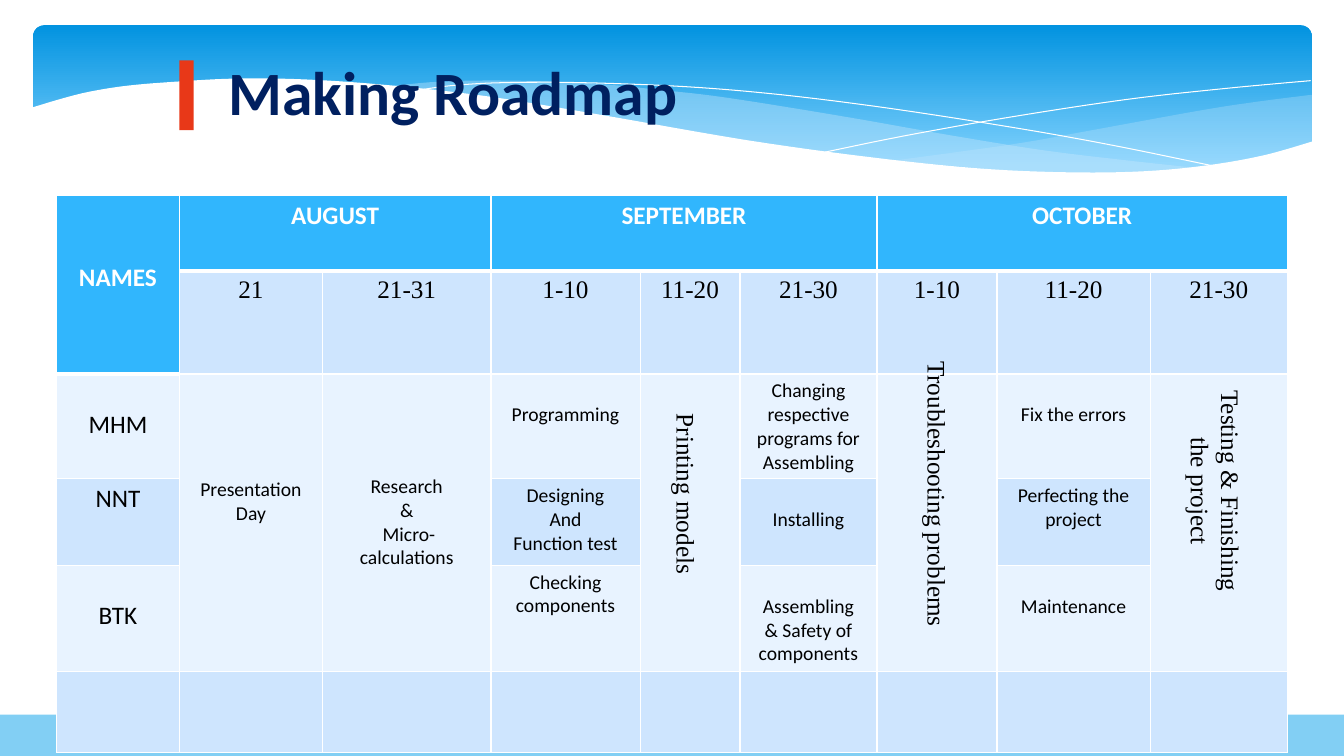
import dataclasses
import itertools

import lxml.etree
import pptx
import pptx.dml.color
import pptx.enum.shapes
import pptx.enum.text
import pptx.oxml.ns
import pptx.util

GRID_COLUMNS, GRID_ROWS = 1333, 750
SLIDE_WIDTH, SLIDE_HEIGHT = pptx.util.Inches(13.33), pptx.util.Inches(7.5)
SHAPES = pptx.enum.shapes.MSO_SHAPE
ANCHOR = pptx.enum.text.MSO_ANCHOR
ALIGN = pptx.enum.text.PP_ALIGN


@dataclasses.dataclass(frozen=True)
class Theme:
    sans: str = "Calibri"
    serif: str = "Times New Roman"
    title_size: int = 44
    head_size: int = 18
    task_size: int = 14
    white: str = "FFFFFF"
    black: str = "000000"
    navy: str = "002060"
    accent: str = "E83818"
    footer: str = "82CFF4"
    sky_top: str = "0293E0"
    sky_bottom: str = "83D3FE"
    ribbon: str = "C6E7FC"
    head: str = "31B6FD"
    band: str = "CEE5FE"
    light: str = "E8F3FF"


THEME = Theme()


def columns(count):
    return round(SLIDE_WIDTH * count / GRID_COLUMNS)


def rows(count):
    return round(SLIDE_HEIGHT * count / GRID_ROWS)


def color(code):
    return pptx.dml.color.RGBColor.from_string(code)


def smooth(knots, steps=6):
    """Return points on a Catmull-Rom curve through the knots."""
    padded = [knots[0], *knots, knots[-1]]
    points = [knots[0]]
    for a, b, c, d in zip(padded, padded[1:], padded[2:], padded[3:]):
        for step in range(1, steps + 1):
            t = step / steps
            points.append(tuple(
                (2 * q + (r - p) * t + (2 * p - 5 * q + 4 * r - s) * t ** 2
                 + (3 * q - p - 3 * r + s) * t ** 3) / 2
                for p, q, r, s in zip(a, b, c, d)))
    return points


class Page:
    def __init__(self, deck, theme):
        self.theme = theme
        self.shapes = deck.slides.add_slide(deck.slide_layouts[6]).shapes

    def block(self, kind, left, top, width, height, fill=None):
        shape = self.shapes.add_shape(
            kind, columns(left), rows(top), columns(width), rows(height))
        shape.shadow.inherit = False
        shape.line.fill.background()
        if fill:
            shape.fill.solid()
            shape.fill.fore_color.rgb = color(fill)
        return shape

    def sky(self, left, top, width, height):
        shape = self.block(SHAPES.ROUNDED_RECTANGLE, left, top, width, height)
        shape.adjustments[0] = 0.07
        shape.fill.gradient()
        shape.fill.gradient_angle = 270
        stops = zip(shape.fill.gradient_stops, (0, 0.9),
                    (self.theme.sky_top, self.theme.sky_bottom))
        for stop, position, code in stops:
            stop.position = position
            stop.color.rgb = color(code)

    def outline(self, points, fill=None, opacity=100):
        """Draw a filled outline, or an open white hairline without a fill."""
        spots = [(columns(x), rows(y)) for x, y in points]
        builder = self.shapes.build_freeform(*spots[0])
        builder.add_line_segments(spots[1:], close=bool(fill))
        shape = builder.convert_to_shape()
        shape.shadow.inherit = False
        if not fill:
            shape.fill.background()
            shape.line.color.rgb = color(self.theme.white)
            shape.line.width = 0
            return
        shape.line.fill.background()
        shape.fill.solid()
        shape.fill.fore_color.rgb = color(fill)
        if opacity < 100:
            tint = next(shape._element.spPr.iter(pptx.oxml.ns.qn("a:srgbClr")))
            lxml.etree.SubElement(tint, pptx.oxml.ns.qn("a:alpha"), val=str(opacity * 1000))

    def add_lines(self, frame, lines, size, font, code, bold=False, align=ALIGN.CENTER):
        for number, line in enumerate(lines):
            para = frame.add_paragraph() if number else frame.paragraphs[0]
            para.alignment = align
            span = para.add_run()
            span.text = line
            span.font.size = pptx.util.Pt(size)
            span.font.name = font
            span.font.bold = bold
            span.font.color.rgb = color(code)

    def text(self, left, top, width, height, wrap=True):
        box = self.shapes.add_textbox(
            columns(left), rows(top), columns(width), rows(height))
        box.text_frame.word_wrap = wrap
        box.text_frame.vertical_anchor = ANCHOR.MIDDLE
        return box

    def title(self, line, *place):
        box = self.text(*place)
        self.add_lines(box.text_frame, [line], self.theme.title_size, self.theme.sans,
                       self.theme.navy, True, ALIGN.LEFT)

    def upright(self, lines, center_x, center_y, length, depth):
        """Set lines that read downwards around a centre."""
        box = self.text(center_x - length / 2, center_y - depth / 2, length, depth, False)
        box.rotation = 90
        self.add_lines(box.text_frame, lines, self.theme.head_size, self.theme.serif,
                       self.theme.black)

    def table(self, left, top, widths, heights):
        grid = self.shapes.add_table(len(heights), len(widths), columns(left), rows(top),
                                     columns(sum(widths)), rows(sum(heights))).table
        grid.first_row = grid.horz_banding = False
        for column, width in zip(grid.columns, widths):
            column.width = columns(width)
        for row, height in zip(grid.rows, heights):
            row.height = rows(height)
        for row, column in itertools.product(range(len(heights)), range(len(widths))):
            head = row == 0 or (row == 1 and column == 0)
            shade = self.theme.light if row in (2, 4) else self.theme.band
            cell = grid.cell(row, column)
            self.borders(cell, 3 if head else 1, row == 0)
            cell.fill.solid()
            cell.fill.fore_color.rgb = color(self.theme.head if head else shade)
        return grid

    def borders(self, cell, bottom, top_row):
        for side, width in (("L", 1), ("R", 1), ("T", 1), ("B", bottom)):
            if side == "T" and not top_row:
                continue
            edge = lxml.etree.SubElement(cell._tc.get_or_add_tcPr(), pptx.oxml.ns.qn("a:ln" + side),
                                         w=str(pptx.util.Pt(width)))
            fill = lxml.etree.SubElement(edge, pptx.oxml.ns.qn("a:solidFill"))
            lxml.etree.SubElement(fill, pptx.oxml.ns.qn("a:srgbClr"), val=self.theme.white)

    def entry(self, cell, lines, drop, size, font=THEME.sans, code=THEME.black, bold=False):
        """Fill a cell with lines that start a drop below its usual top margin."""
        cell.margin_top = rows(5 + drop)
        self.add_lines(cell.text_frame, lines, size, font, code, bold)


def draw_waves(page):
    page.sky(33, 25, 1268, 156)
    page.outline(
        smooth([(1301, 94), (1246, 101), (1188, 110), (1073, 131), (1005, 143), (882, 160)])
        + smooth([(882, 160), (940, 164), (1009, 170), (1085, 172), (1151, 170),
                  (1207, 163), (1257, 154), (1301, 142)]), THEME.ribbon, 29)
    page.outline(
        smooth([(1190, 167), (1116, 159), (1034, 149), (941, 134), (839, 116), (721, 97),
                (652, 89), (589, 83), (506, 80), (437, 81), (382, 86)])
        + smooth([(382, 86), (456, 94), (539, 106), (706, 135), (802, 150), (887, 161),
                  (963, 168), (1030, 172), (1090, 173), (1143, 171), (1190, 167)]),
        THEME.ribbon, 40)
    page.outline(smooth([(412, 90), (447, 85), (499, 82), (577, 82), (680, 86), (775, 94),
                         (886, 108), (1014, 128), (1108, 145), (1210, 166)]))
    page.outline(smooth([(818, 151), (896, 135), (997, 117), (1115, 99), (1213, 88), (1300, 80)]))
    page.outline(
        smooth([(1303, 140), (1254, 154), (1198, 164), (1134, 170), (1058, 171), (969, 167),
                (863, 156), (740, 139), (596, 114), (486, 96), (390, 85), (306, 79),
                (235, 78), (176, 81), (127, 85), (89, 91), (61, 98), (31, 107)])
        + [(31, 224), (1303, 224)], THEME.white)


def draw_roadmap(page):
    grid = page.table(56, 194, [122, 142, 167, 148, 99, 136, 119, 152, 136],
                      [75, 102, 104, 86, 105, 81])
    grid.cell(0, 0).merge(grid.cell(1, 0))
    page.entry(grid.cell(0, 0), ["NAMES"], 61, THEME.head_size, code=THEME.white, bold=True)
    for month, first, last in (("AUGUST", 1, 2), ("SEPTEMBER", 3, 5), ("OCTOBER", 6, 8)):
        grid.cell(0, first).merge(grid.cell(0, last))
        page.entry(grid.cell(0, first), [month], 0, THEME.head_size, code=THEME.white, bold=True)
    days = ["21", "21-31"] + ["1-10", "11-20", "21-30"] * 2
    for column, day in enumerate(days, start=1):
        page.entry(grid.cell(1, column), [day], 0, THEME.head_size, THEME.serif)
    for row, name, drop in ((2, "MHM", 30), (3, "NNT", 0), (4, "BTK", 30)):
        page.entry(grid.cell(row, 0), [name], drop, THEME.head_size)
    for column in (1, 2, 4, 6, 8):
        grid.cell(2, column).merge(grid.cell(4, column))
    tasks = [
        (2, 1, 98, ["Presentation", "Day"]),
        (2, 2, 95, ["Research", "&", " Micro-calculations"]),
        (2, 3, 24, ["Programming"]),
        (2, 5, 0, ["Changing respective programs for Assembling"]),
        (2, 7, 24, ["Fix the errors"]),
        (3, 3, 0, ["Designing", "And", "Function test"]),
        (3, 5, 24, ["Installing"]),
        (3, 7, 0, ["Perfecting the project"]),
        (4, 3, 0, ["Checking components"]),
        (4, 5, 24, ["Assembling", "& Safety of components"]),
        (4, 7, 24, ["Maintenance"]),
    ]
    for row, column, drop, lines in tasks:
        page.entry(grid.cell(row, column), lines, drop, THEME.task_size)
    page.upright(["Printing models"], 681, 490, 356, 40)
    page.upright(["Troubleshooting problems"], 930, 490, 286, 40)
    page.upright(["Testing & Finishing", "the project"], 1206, 487, 228, 71)


def main():
    deck = pptx.Presentation()
    deck.slide_width, deck.slide_height = SLIDE_WIDTH, SLIDE_HEIGHT
    page = Page(deck, THEME)
    draw_waves(page)
    page.title("Making Roadmap", 217, 36, 900, 108)
    page.block(SHAPES.RECTANGLE, 178, 60, 14, 69, THEME.accent)
    page.block(SHAPES.RECTANGLE, 0, 709, GRID_COLUMNS, 41, THEME.footer)
    draw_roadmap(page)
    deck.save("out.pptx")


if __name__ == "__main__":
    main()
